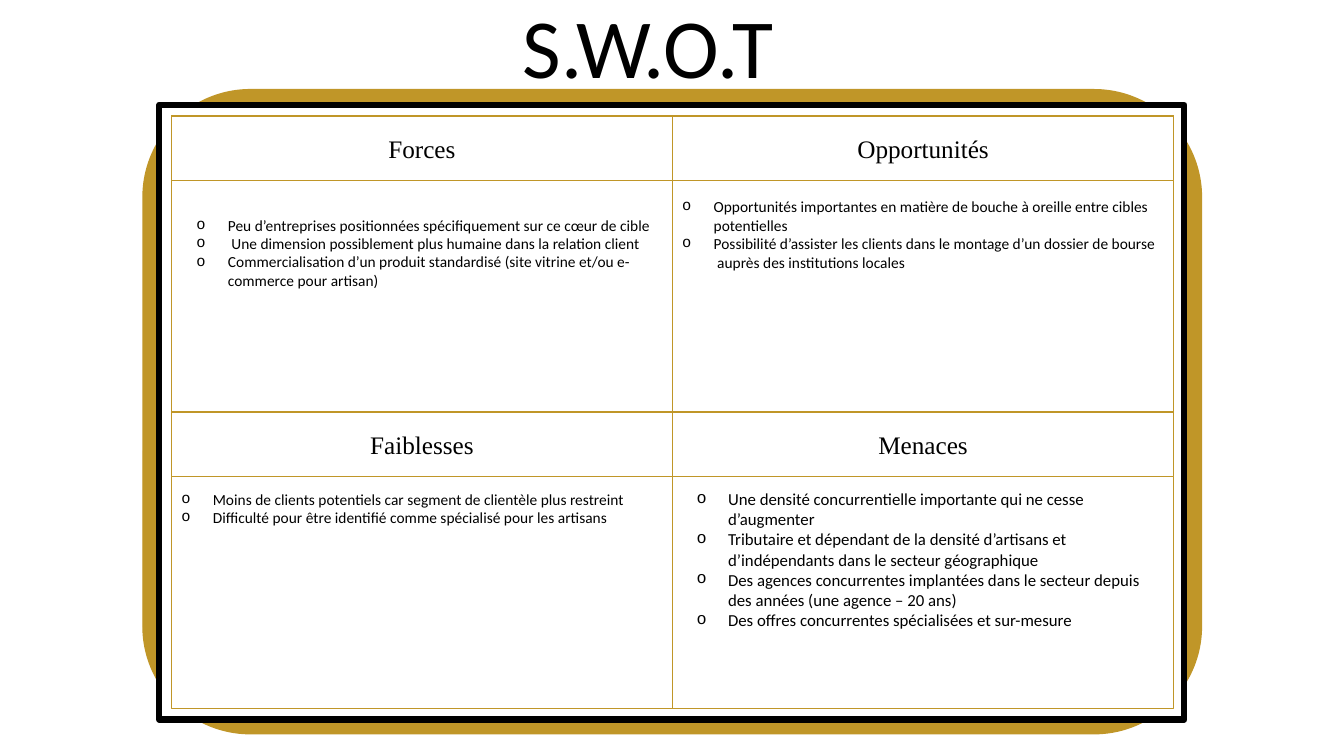
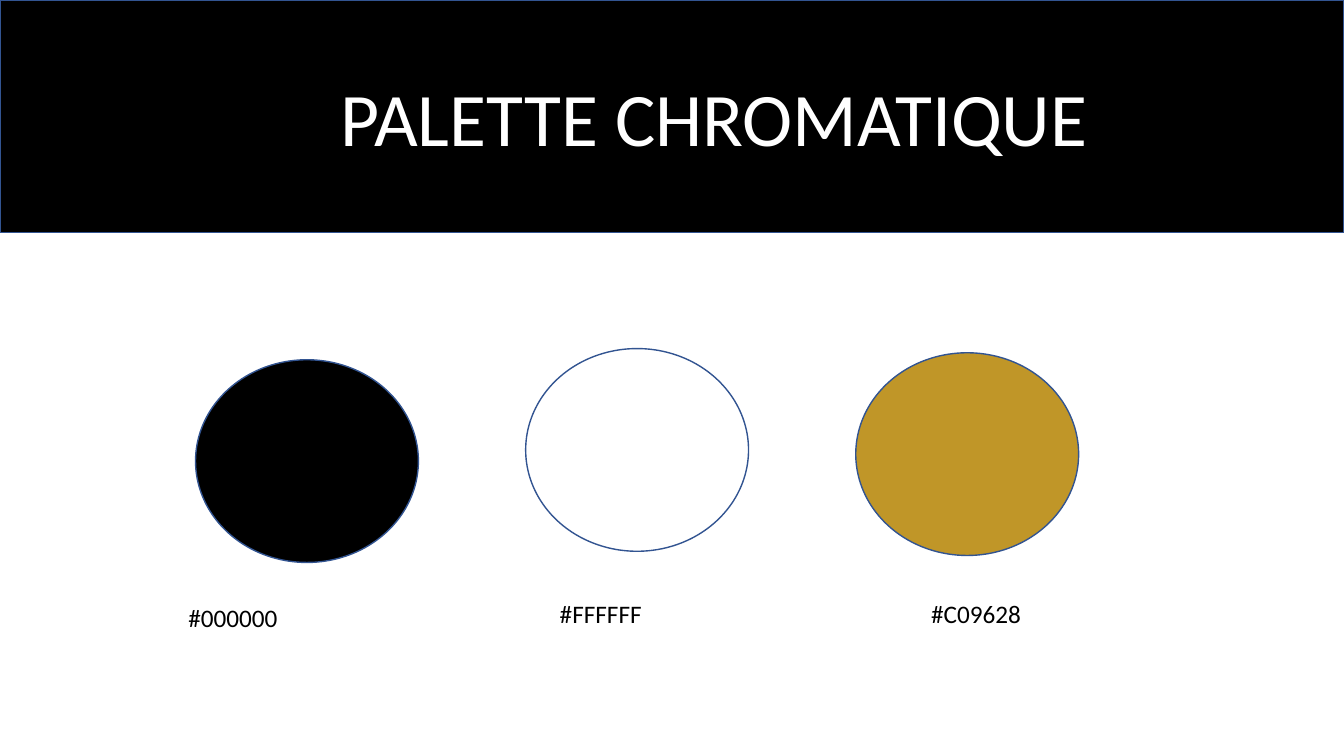
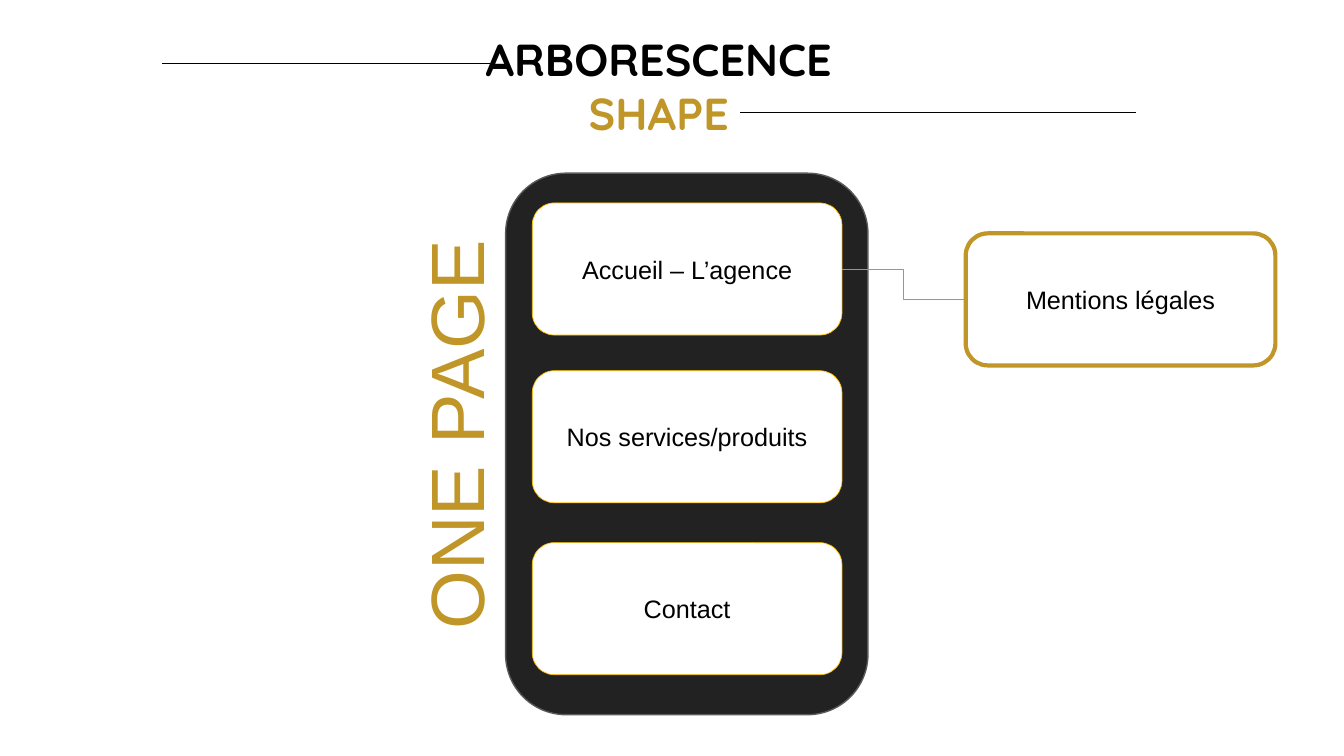
from dataclasses import dataclass

from lxml.etree import SubElement
from pptx import Presentation
from pptx.dml.color import RGBColor
from pptx.enum.shapes import MSO_CONNECTOR as CONN, MSO_SHAPE as SHAPE
from pptx.enum.text import MSO_ANCHOR as ANCHOR, MSO_AUTO_SIZE as FIT, PP_ALIGN as ALIGN
from pptx.oxml.ns import qn
from pptx.util import Pt

BLACK, WHITE, GOLD = "000000", "FFFFFF", "C09628"
BLUE, CHARCOAL, GREY, AMBER = "325491", "222222", "595959", "FFC000"
BODY, SERIF, SANS, DISPLAY = "Calibri", "Times New Roman", "Arial", "Quicksand"
INDENT = 22.5


@dataclass(frozen=True)
class Box:
    x: float
    y: float
    w: float
    h: float


@dataclass(frozen=True)
class Style:
    size: float
    font: str = BODY
    color: str = BLACK
    bold: bool = False


@dataclass(frozen=True)
class Para:
    text: str
    style: Style
    align: ALIGN = ALIGN.LEFT
    bullet: bool = False
    margin: float = 0


@dataclass(frozen=True)
class Quadrant:
    title: str
    col: int
    row: int
    notes: Box
    paras: list[Para]


@dataclass(frozen=True)
class Swatch:
    color: str
    top: float
    label_top: float


def rgb(color: str) -> RGBColor:
    return RGBColor.from_string(color)


def write(tf, paras: list[Para]) -> None:
    for i, para in enumerate(paras):
        p = tf.paragraphs[0] if i == 0 else tf.add_paragraph()
        p.alignment = para.align
        pPr = p._p.get_or_add_pPr()
        if para.bullet:
            pPr.set("marL", str(Pt(INDENT)))
            pPr.set("indent", str(-Pt(INDENT)))
            SubElement(pPr, qn("a:buFont")).set("typeface", "Courier New")
            SubElement(pPr, qn("a:buChar")).set("char", "o")
        elif para.margin:
            pPr.set("marL", str(Pt(para.margin)))
        r = p.add_run()
        r.text = para.text
        r.font.name = para.style.font
        r.font.size = Pt(para.style.size)
        r.font.bold = para.style.bold
        r.font.color.rgb = rgb(para.style.color)


def add_text(s, box: Box, paras: list[Para], wrap: bool = True):
    tb = s.shapes.add_textbox(Pt(box.x), Pt(box.y), Pt(box.w), Pt(box.h))
    tf = tb.text_frame
    tf.word_wrap = wrap
    tf.auto_size = FIT.SHAPE_TO_FIT_TEXT
    write(tf, paras)
    return tb


def add_shape(s, kind: SHAPE, box: Box, fill: str | None, line: str,
              width: float = 1, label: Para | None = None):
    sp = s.shapes.add_shape(kind, Pt(box.x), Pt(box.y), Pt(box.w), Pt(box.h))
    sp.shadow.inherit = False
    if fill:
        sp.fill.solid()
        sp.fill.fore_color.rgb = rgb(fill)
    else:
        sp.fill.background()
    sp.line.color.rgb = rgb(line)
    sp.line.width = Pt(width)
    if label:
        sp.text_frame.vertical_anchor = ANCHOR.MIDDLE
        write(sp.text_frame, [label])
    return sp


def add_line(s, kind: CONN, x1: float, y1: float, x2: float, y2: float, color: str):
    c = s.shapes.add_connector(kind, Pt(x1), Pt(y1), Pt(x2), Pt(y2))
    c.line.color.rgb = rgb(color)
    c.line.width = Pt(0.5)
    SubElement(c._element.spPr, qn("a:effectLst"))
    return c


def bullets(size: float, *texts: str) -> list[Para]:
    return [Para(t, Style(size), bullet=True) for t in texts]


def swot_slide(s) -> None:
    left, top, w, h, head_h = 122.4, 82.8, 358, 211.6, 46
    quadrants = [
        Quadrant("Forces", 0, 0, Box(133.2, 150.5, w, 117.4), bullets(
            11,
            "Peu d’entreprises positionnées spécifiquement sur ce cœur de cible",
            " Une dimension possiblement plus humaine dans la relation client",
            "Commercialisation d’un produit standardisé (site vitrine et/ou "
            "e-commerce pour artisan)")),
        Quadrant("Opportunités", 1, 0, Box(480.2, 137.5, w, 104.4), bullets(
            11,
            "Opportunités importantes en matière de bouche à oreille entre cibles "
            "potentielles",
            "Possibilité d’assister les clients dans le montage d’un dossier de bourse")
            + [Para("auprès des institutions locales", Style(11), margin=INDENT + 2.5)]),
        Quadrant("Faiblesses", 0, 1, Box(122.4, 346.3, w, 144), bullets(
            11,
            "Moins de clients potentiels car segment de clientèle plus restreint",
            "Difficulté pour être identifié comme spécialisé pour les artisans")),
        Quadrant("Menaces", 1, 1, Box(490.5, 345.6, 333.4, 152.6), bullets(
            12,
            "Une densité concurrentielle importante qui ne cesse d’augmenter",
            "Tributaire et dépendant de la densité d’artisans et d’indépendants dans "
            "le secteur géographique",
            "Des agences concurrentes implantées dans le secteur depuis des années "
            "(une agence – 20 ans)",
            "Des offres concurrentes spécialisées et sur-mesure")),
    ]
    add_shape(s, SHAPE.ROUNDED_RECTANGLE, Box(102.2, 64.1, 756, 460), GOLD, GOLD)
    add_shape(s, SHAPE.RECTANGLE, Box(113.8, 74.9, 732.2, 439.2), WHITE, BLACK, 4.5)
    for q in quadrants:
        x, y = left + q.col * w, top + q.row * h
        add_shape(s, SHAPE.RECTANGLE, Box(x, y, w, h), None, GOLD, 0.75)
        add_shape(s, SHAPE.RECTANGLE, Box(x, y, w, head_h), WHITE, GOLD,
                  label=Para(q.title, Style(18, SERIF), ALIGN.CENTER))
        add_text(s, q.notes, q.paras)
    add_text(s, Box(366.5, -7.2, 247.7, 80), [Para("S.W.O.T", Style(60))])


def palette_slide(s) -> None:
    swatches = [Swatch(BLACK, 257, 427), Swatch(WHITE, 249, 424), Swatch(GOLD, 252, 424)]
    add_shape(s, SHAPE.RECTANGLE, Box(0, 0, 960, 166.3), BLACK, BLUE)
    add_text(s, Box(236.2, 46.8, 576.7, 72.7),
             [Para("PALETTE CHROMATIQUE", Style(54, color=WHITE))])
    for i, sw in enumerate(swatches):
        add_shape(s, SHAPE.OVAL, Box(139.7 + i * 235.8, sw.top, 159.2, 144.8),
                  sw.color, BLUE)
        add_text(s, Box(127.4 + i * 265.3, sw.label_top, 193.7, 29),
                 [Para(f"#{sw.color}", Style(18))])


def sitemap_slide(s) -> None:
    card_w, card_h = 221.2, 94.3

    def add_card(text: str, x: float, y: float, line: str, width: float):
        return add_shape(s, SHAPE.ROUNDED_RECTANGLE, Box(x, y, card_w, card_h), WHITE,
                         line, width, Para(text, Style(18, SANS), ALIGN.CENTER))

    add_text(s, Box(339.8, 19.4, 280, 85), [
        Para("ARBORESCENCE", Style(32, DISPLAY, bold=True)),
        Para("SHAPE", Style(32, DISPLAY, GOLD, True), ALIGN.CENTER)], wrap=False)
    add_shape(s, SHAPE.ROUNDED_RECTANGLE, Box(361.2, 123.7, 258.8, 386.8), CHARCOAL, GREY)
    sections = [("Accueil – L’agence", 145), ("Nos services/produits", 264.8),
                ("Contact", 387.6)]
    cards = [add_card(text, 380.2, y, AMBER, 0.5) for text, y in sections]
    side = add_text(s, Box(159.1, 274.3, 331.2, 72.7),
                    [Para("ONE PAGE", Style(54, SANS, GOLD), ALIGN.CENTER)])
    side.rotation = 270
    legal = add_card("Mentions légales", 689.8, 166.7, GOLD, 3)
    link = add_line(s, CONN.ELBOW, 601.4, 192.2, 689.8, 213.9, GOLD)
    link.begin_connect(cards[0], 3)
    link.end_connect(legal, 1)
    for x1, x2, y in [(349.9, 115.5, 45.2), (811.4, 528.5, 80.1)]:
        add_line(s, CONN.STRAIGHT, x1, y, x2, y, BLACK)


def main() -> None:
    prs = Presentation()
    prs.slide_width, prs.slide_height = Pt(960), Pt(540)
    for draw in (swot_slide, palette_slide, sitemap_slide):
        draw(prs.slides.add_slide(prs.slide_layouts[6]))
    prs.save("out.pptx")


if __name__ == "__main__":
    main()
